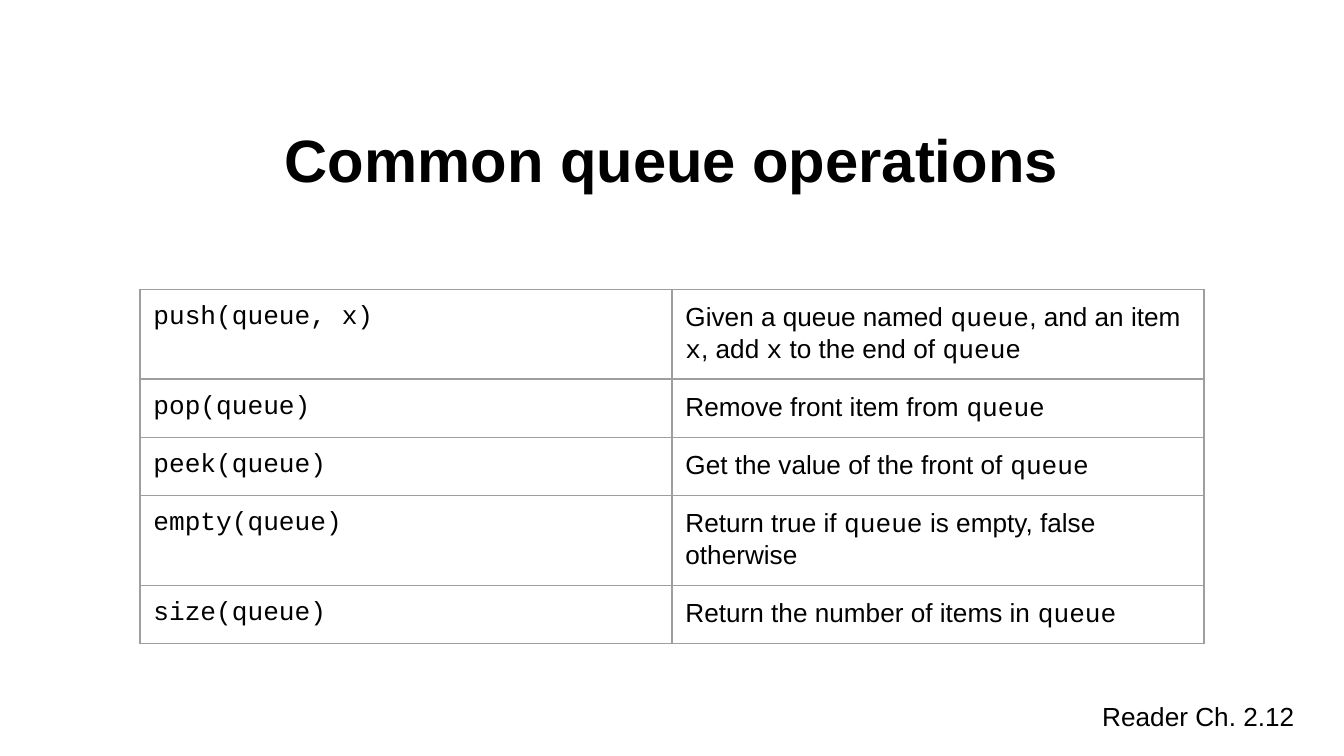
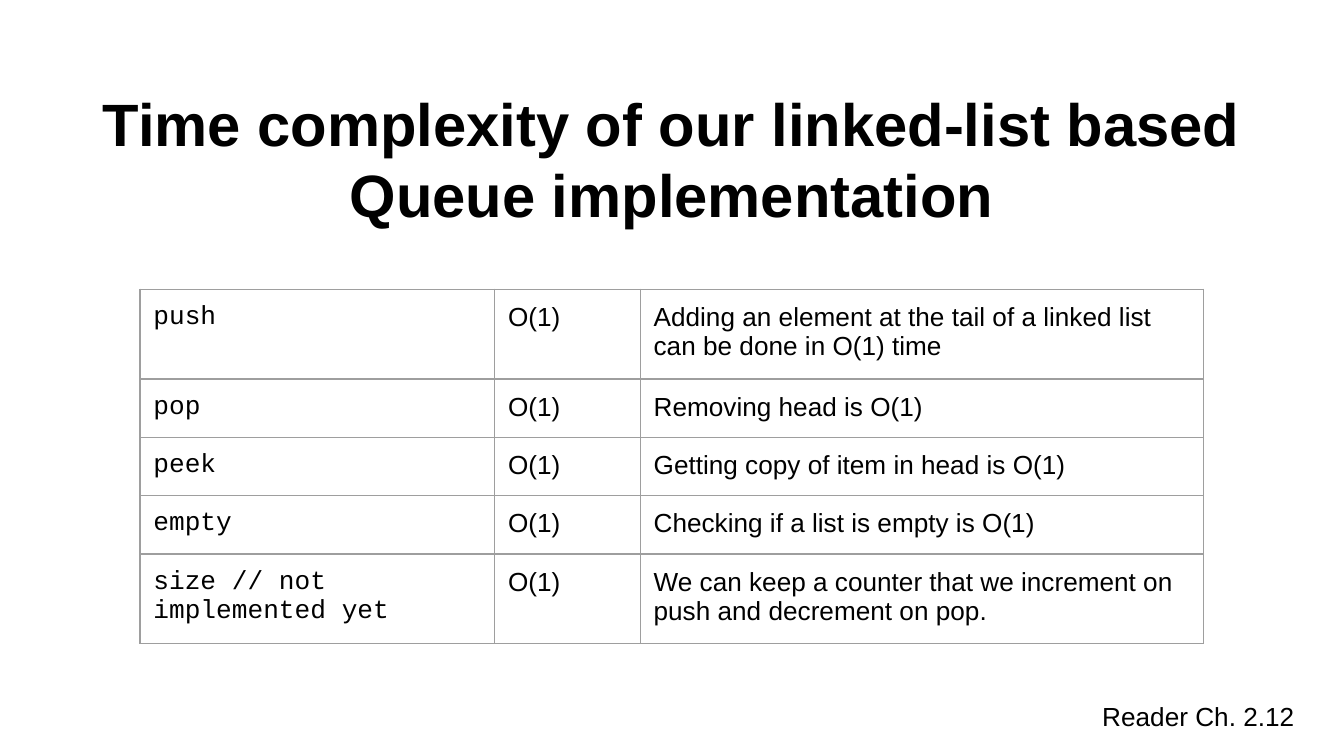
from dataclasses import dataclass

from lxml.etree import SubElement
from pptx import Presentation
from pptx.dml.color import RGBColor
from pptx.enum.text import MSO_ANCHOR, PP_ALIGN
from pptx.oxml.ns import qn
from pptx.util import Pt

BLACK = "000000"
WHITE = "FFFFFF"
GRID_GRAY = "9E9E9E"
BODY_FONT = "Arial"
CODE_FONT = "Courier New"
BODY_SIZE = 14
TITLE_SIZE = 32
INSET = 7.2
BORDER_WIDTH = 0.75
ROW_HEIGHT = 30.24
TABLE_LEFT, TABLE_TOP = 75, 155
FOOTER = "Reader Ch. 2.12"


@dataclass
class TextArea:
    left: float
    top: float
    width: float
    height: float
    size: float
    bold: bool = False
    align: PP_ALIGN = PP_ALIGN.LEFT
    anchor: MSO_ANCHOR = MSO_ANCHOR.TOP


@dataclass
class TableSlide:
    title: str
    column_widths: list[float]
    rows: list[tuple[str, ...]]


TITLE_AREA = TextArea(36, 53, 648, 63.4, TITLE_SIZE, True, PP_ALIGN.CENTER, MSO_ANCHOR.MIDDLE)
FOOTER_AREA = TextArea(583.4, 367.8, 121, 33, BODY_SIZE)

# Text between backticks is set in the code font.
SLIDES = [
    TableSlide(
        "Common queue operations",
        [285, 285],
        [
            ("`push(queue, x)`",
             "Given a queue named `queue`, and an item `x`, add `x` to the end of `queue`"),
            ("`pop(queue)`", "Remove front item from `queue`"),
            ("`peek(queue)`", "Get the value of the front of `queue`"),
            ("`empty(queue)`", "Return true if `queue` is empty, false otherwise"),
            ("`size(queue)`", "Return the number of items in `queue`"),
        ],
    ),
    TableSlide(
        "Time complexity of our linked-list based Queue implementation",
        [190, 78, 302],
        [
            ("`push`", "O(1)",
             "Adding an element at the tail of a linked list can be done in O(1) time"),
            ("`pop`", "O(1)", "Removing head is O(1)"),
            ("`peek`", "O(1)", "Getting copy of item in head is O(1)"),
            ("`empty`", "O(1)", "Checking if a list is empty is O(1)"),
            ("`size // not implemented yet`", "O(1)",
             "We can keep a counter that we increment on push and decrement on pop."),
        ],
    ),
]


def color(value: str) -> RGBColor:
    return RGBColor.from_string(value)


def set_insets(target) -> None:
    target.margin_left = target.margin_right = Pt(INSET)
    target.margin_top = target.margin_bottom = Pt(INSET)


def write_text(para, text: str, size: float, bold: bool = False) -> None:
    """Write text whose backtick spans use the code font."""
    spans = [(span, CODE_FONT if index % 2 else BODY_FONT)
             for index, span in enumerate(text.split("`")) if span]
    main_font = spans[0][1]
    para.font.name = main_font
    para.font.size = Pt(size)
    para.font.bold = bold
    para.font.color.rgb = color(BLACK)
    for span, font_name in spans:
        run = para.add_run()
        run.text = span
        if font_name != main_font:
            run.font.name = font_name


def add_text(page, area: TextArea, text: str) -> None:
    box = page.shapes.add_textbox(Pt(area.left), Pt(area.top), Pt(area.width), Pt(area.height))
    frame = box.text_frame
    frame.word_wrap = True
    frame.vertical_anchor = area.anchor
    set_insets(frame)
    para = frame.paragraphs[0]
    para.alignment = area.align
    write_text(para, text, area.size, area.bold)


def add_borders(cell) -> None:
    properties = cell._tc.get_or_add_tcPr()
    for side in ("a:lnL", "a:lnR", "a:lnT", "a:lnB"):
        line = SubElement(properties, qn(side), w=str(Pt(BORDER_WIDTH)))
        fill = SubElement(line, qn("a:solidFill"))
        SubElement(fill, qn("a:srgbClr"), val=GRID_GRAY)


def add_grid(page, content: TableSlide) -> None:
    row_count, column_count = len(content.rows), len(content.column_widths)
    table = page.shapes.add_table(
        row_count, column_count, Pt(TABLE_LEFT), Pt(TABLE_TOP),
        Pt(sum(content.column_widths)), Pt(ROW_HEIGHT * row_count)).table
    table.first_row = table.horz_banding = False
    for column, width in zip(table.columns, content.column_widths):
        column.width = Pt(width)
    for row, texts in zip(table.rows, content.rows):
        row.height = Pt(ROW_HEIGHT)
        for cell, text in zip(row.cells, texts):
            set_insets(cell)
            add_borders(cell)
            cell.fill.background()
            write_text(cell.text_frame.paragraphs[0], text, BODY_SIZE)


def main() -> None:
    deck = Presentation()
    deck.slide_width, deck.slide_height = Pt(720), Pt(405)
    for content in SLIDES:
        page = deck.slides.add_slide(deck.slide_layouts[6])
        page.background.fill.solid()
        page.background.fill.fore_color.rgb = color(WHITE)
        add_text(page, TITLE_AREA, content.title)
        add_grid(page, content)
        add_text(page, FOOTER_AREA, FOOTER)
    deck.save("out.pptx")


if __name__ == "__main__":
    main()
